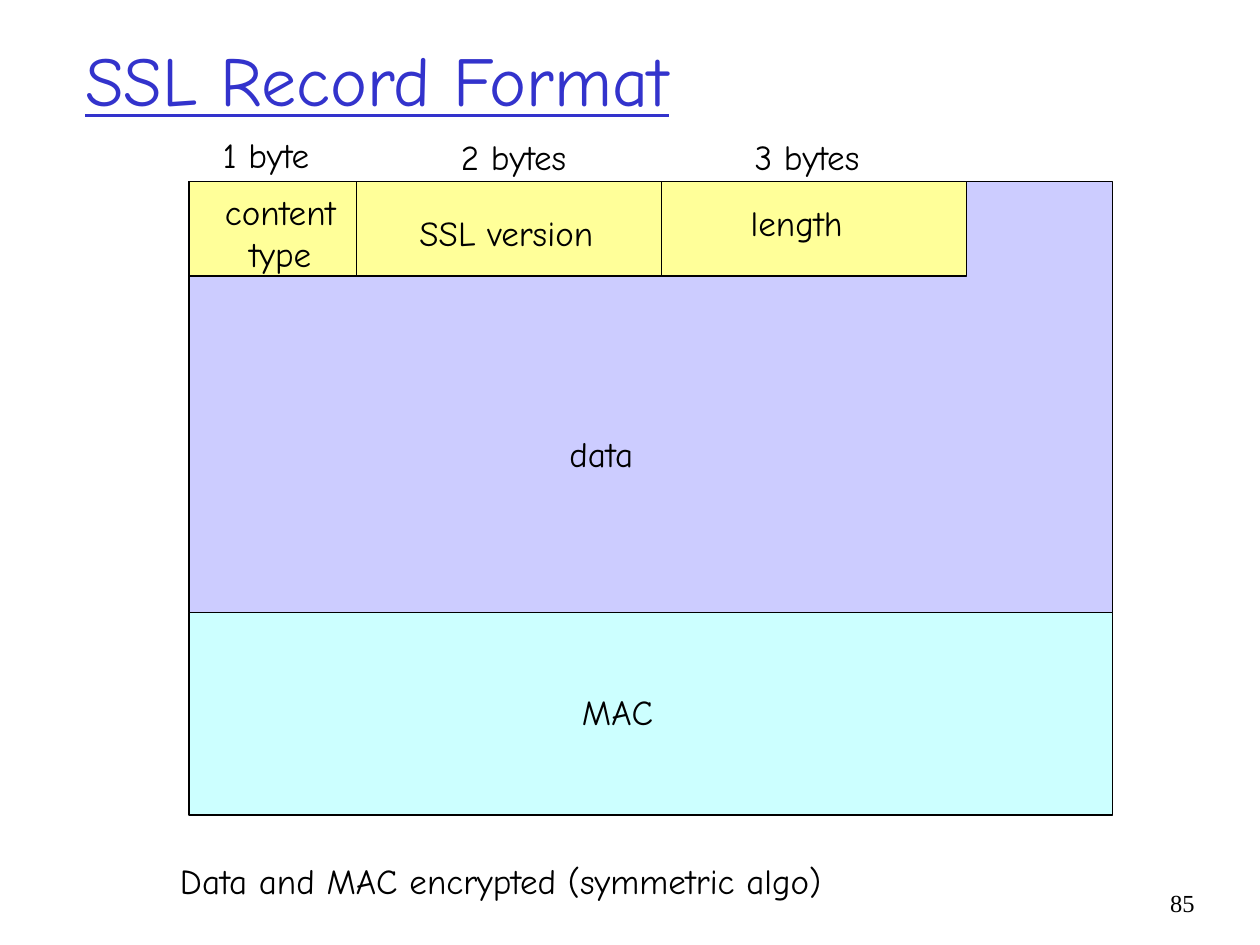
from pptx import Presentation
from pptx.dml.color import RGBColor
from pptx.enum.shapes import MSO_SHAPE
from pptx.enum.text import MSO_ANCHOR, MSO_AUTO_SIZE, PP_ALIGN
from pptx.util import Inches, Pt

RECTANGLE = MSO_SHAPE.RECTANGLE
TOP, MIDDLE = MSO_ANCHOR.TOP, MSO_ANCHOR.MIDDLE
LEFT, CENTER, RIGHT = PP_ALIGN.LEFT, PP_ALIGN.CENTER, PP_ALIGN.RIGHT
FIT_SHAPE = MSO_AUTO_SIZE.SHAPE_TO_FIT_TEXT

COLORS = {
    "title": "3333CC",
    "ink": "000000",
    "data": "CCCCFF",
    "header": "FFFF99",
    "mac": "CCFFFF",
}
BODY_FONT = "Comic Neue"
NUMBER_FONT = "Times New Roman"

# Record geometry in inches
RECORD_LEFT, RECORD_TOP, RECORD_WIDTH = 1.5, 1.44, 7.33
DATA_HEIGHT, MAC_HEIGHT, HEADER_HEIGHT = 3.42, 1.61, 0.75
HEADER_WIDTHS = [1.33, 2.42, 2.42]
LINE_HEIGHT = 0.44

# Text, left, top, width
LABELS = [
    ("SSL version", 3.23, 1.63, 1.58),
    ("length", 5.86, 1.55, 0.93),
    ("MAC", 4.52, 5.43, 0.82),
    ("data", 4.42, 3.38, 0.71),
    ("1 byte", 1.67, 1.01, 0.89),
    ("2 bytes", 3.56, 1.03, 1.04),
    ("3 bytes", 5.89, 1.03, 1.04),
    ("Data and MAC encrypted (symmetric algo)", 1.33, 6.77, 5.31),
]


def add_field(page, left, top, width, height, color):
    field = page.shapes.add_shape(
        RECTANGLE, Inches(left), Inches(top), Inches(width), Inches(height))
    field.shadow.inherit = False
    field.fill.solid()
    field.fill.fore_color.rgb = RGBColor.from_string(COLORS[color])
    field.line.color.rgb = RGBColor.from_string(COLORS["ink"])
    field.line.width = Pt(0.75)


def add_text(page, text, left, top, width, height, size=20, font=BODY_FONT,
             color="ink", align=LEFT, anchor=TOP, wrap=True, underline=None):
    box = page.shapes.add_textbox(
        Inches(left), Inches(top), Inches(width), Inches(height))
    frame = box.text_frame
    frame.text = text
    frame.word_wrap = wrap
    frame.vertical_anchor = anchor
    if not wrap:
        frame.auto_size = FIT_SHAPE
    for paragraph in frame.paragraphs:
        paragraph.alignment = align
        for span in paragraph.runs:
            span.font.name = font
            span.font.size = Pt(size)
            span.font.underline = underline
            span.font.color.rgb = RGBColor.from_string(COLORS[color])


def add_record(page):
    # Data block, with the header fields laid over its top row
    add_field(page, RECORD_LEFT, RECORD_TOP, RECORD_WIDTH, DATA_HEIGHT, "data")
    left = RECORD_LEFT
    for width in HEADER_WIDTHS:
        add_field(page, left, RECORD_TOP, width, HEADER_HEIGHT, "header")
        left += width
    # MAC block below the data
    add_field(page, RECORD_LEFT, RECORD_TOP + DATA_HEIGHT,
              RECORD_WIDTH, MAC_HEIGHT, "mac")


def main():
    deck = Presentation()
    deck.slide_width, deck.slide_height = Inches(10), Inches(7.5)
    page = deck.slides.add_slide(deck.slide_layouts[6])

    # Slide number and title
    add_text(page, "85", 9.08, 7, 0.5, 0.5, size=14, font=NUMBER_FONT,
             align=RIGHT)
    add_text(page, "SSL Record Format", 0.58, 0, 8.5, 1.25, size=40,
             color="title", anchor=MIDDLE, underline=True)

    # Record diagram and its labels
    add_record(page)
    add_text(page, "content\ntype", 1.68, 1.46, 1.09, 0.77, align=CENTER,
             wrap=False)
    for text, left, top, width in LABELS:
        add_text(page, text, left, top, width, LINE_HEIGHT, wrap=False)

    deck.save("out.pptx")


if __name__ == "__main__":
    main()
